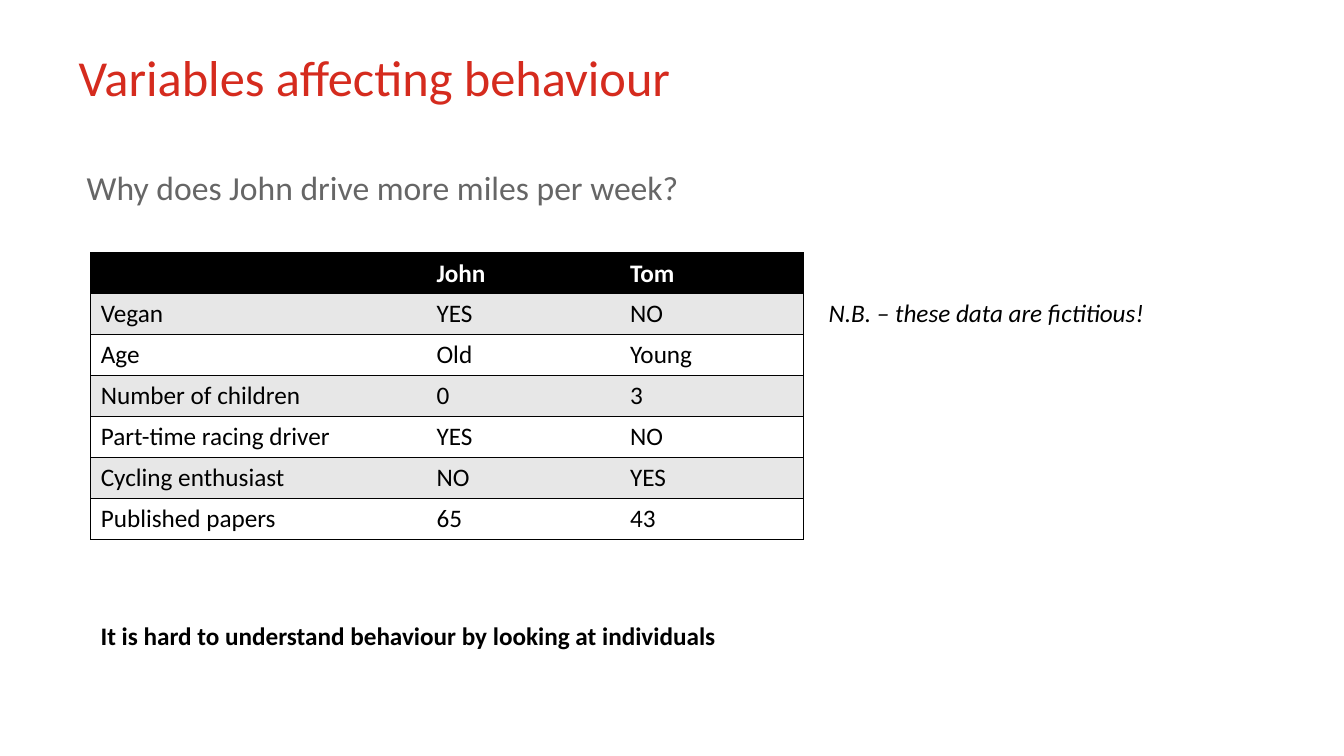
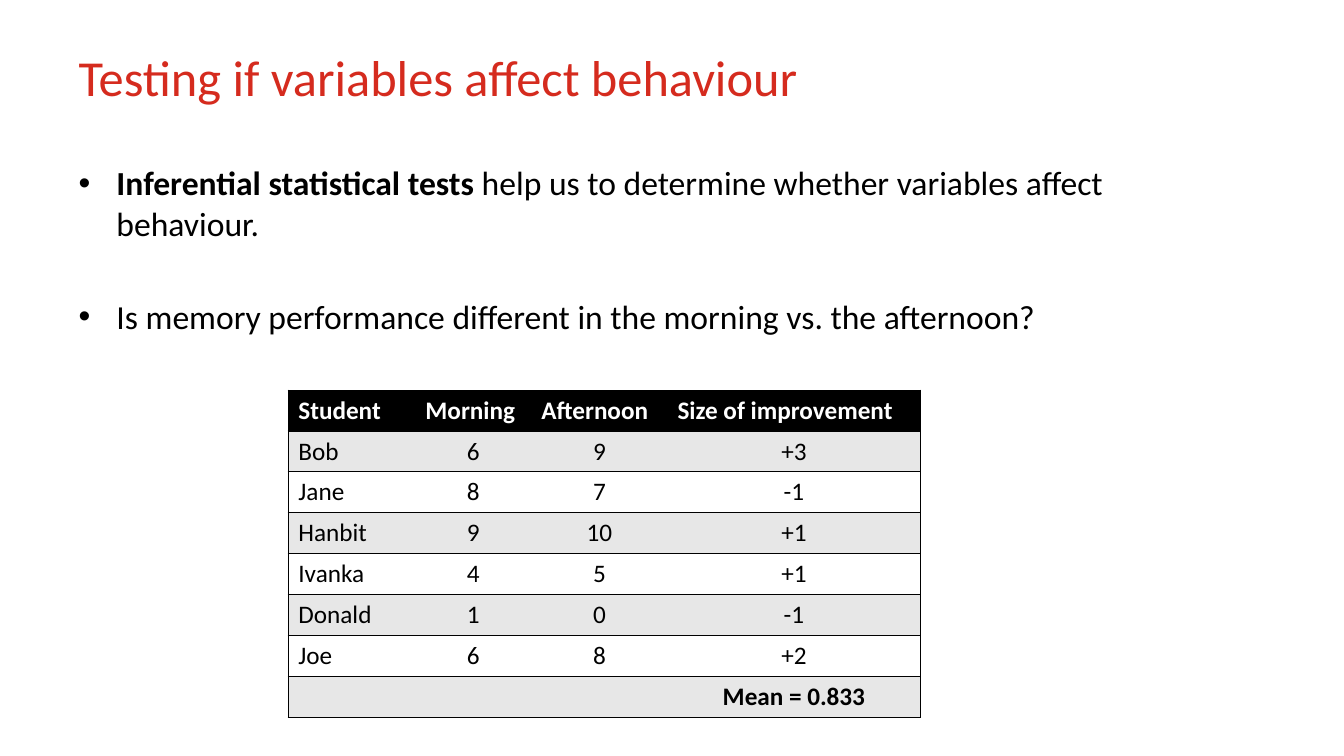
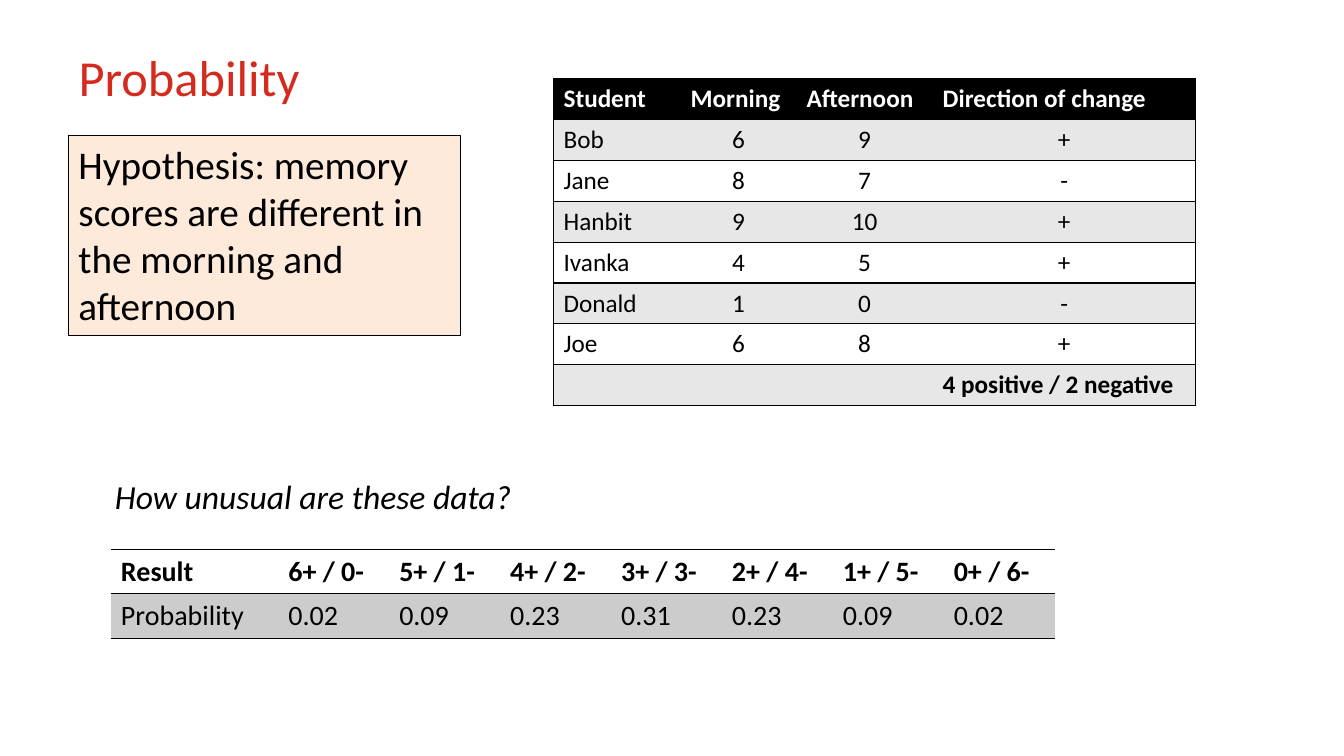
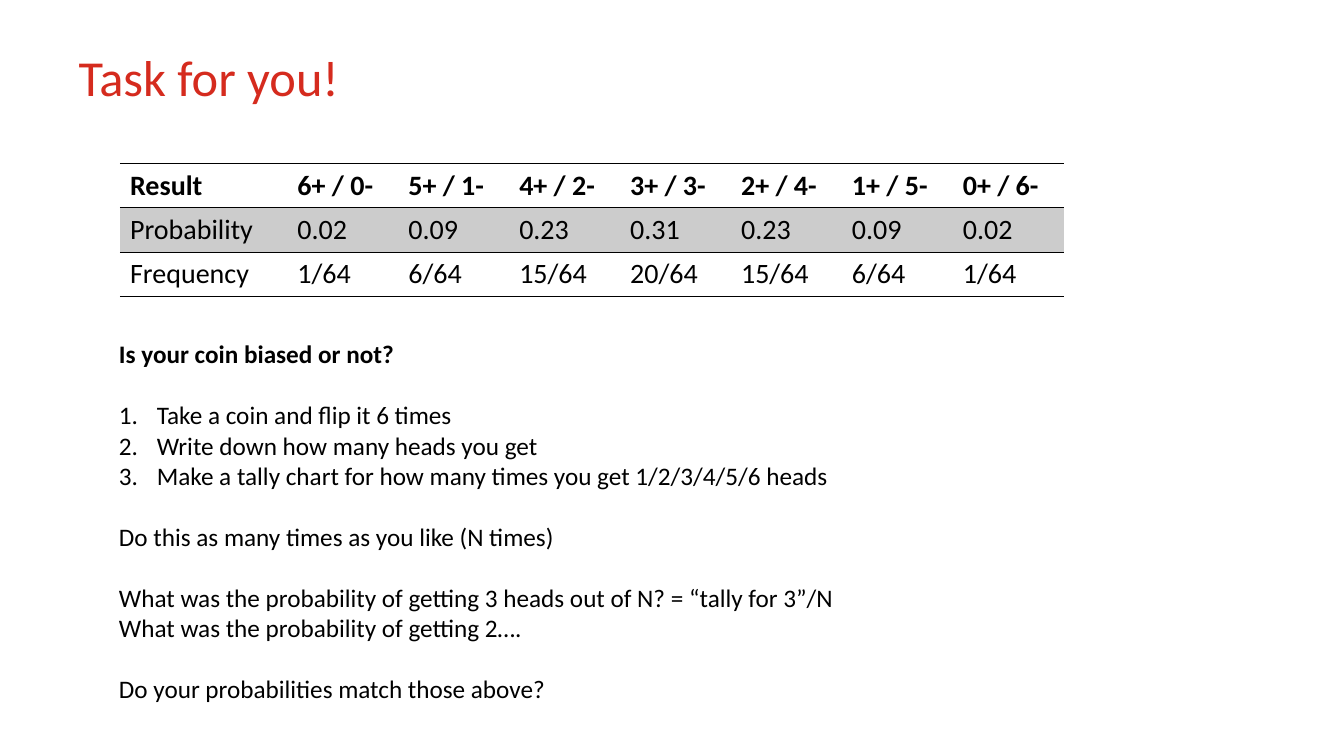
from lxml import etree
from pptx import Presentation
from pptx.dml.color import RGBColor
from pptx.enum.shapes import MSO_SHAPE
from pptx.enum.text import MSO_ANCHOR, MSO_AUTO_SIZE, PP_ALIGN
from pptx.oxml.ns import qn
from pptx.util import Inches, Pt

LEFT, CENTER = PP_ALIGN.LEFT, PP_ALIGN.CENTER
TOP = MSO_ANCHOR.TOP
NO_FIT = MSO_AUTO_SIZE.NONE
RECT = MSO_SHAPE.RECTANGLE

RED = RGBColor(0xD5, 0x2B, 0x1E)
GREY = RGBColor(0x66, 0x66, 0x66)
BAND = RGBColor(0xE7, 0xE7, 0xE7)
SHADE = RGBColor(0xCC, 0xCC, 0xCC)
PEACH = RGBColor(0xFD, 0xEA, 0xDA)
BLACK = RGBColor(0, 0, 0)
WHITE = RGBColor(0xFF, 0xFF, 0xFF)
FONT = "Calibri"
PLAIN_GRID = "{2D5ABB26-0587-4C30-8999-92F81FD0307C}"

DRIVERS = [
    ("", "John", "Tom"),
    ("Vegan", "YES", "NO"),
    ("Age", "Old", "Young"),
    ("Number of children", "0", "3"),
    ("Part-time racing driver", "YES", "NO"),
    ("Cycling enthusiast", "NO", "YES"),
    ("Published papers", "65", "43"),
]
SCORES = [("Bob", 6, 9), ("Jane", 8, 7), ("Hanbit", 9, 10),
          ("Ivanka", 4, 5), ("Donald", 1, 0), ("Joe", 6, 8)]
ODDS = [
    ["Result"] + [f"{6 - n}+ / {n}-" for n in range(7)],
    ["Probability", "0.02", "0.09", "0.23", "0.31", "0.23", "0.09", "0.02"],
]
COUNTS = ["Frequency"] + [f"{n}/64" for n in (1, 6, 15, 20, 15, 6, 1)]
ODDS_COLS = [1.66] + [1.1] * 7

# Text, space before in points, numbered
TASK = [
    ("Is your coin biased or not?", 0, False),
    ("Take a coin and flip it 6 times", 22, True),
    ("Write down how many heads you get", 0, True),
    ("Make a tally chart for how many times you get 1/2/3/4/5/6 heads", 0, True),
    ("Do this as many times as you like (N times)", 22, False),
    ("What was the probability of getting 3 heads out of N? = “tally for 3”/N", 22, False),
    ("What was the probability of getting 2….", 0, False),
    ("Do your probabilities match those above?", 22, False),
]


def style(para, size, color=BLACK, bold=False, italic=False, align=LEFT):
    font = para.font
    font.name, font.size, font.bold, font.italic = FONT, Pt(size), bold, italic
    font.color.rgb = color
    para.alignment = align


def place(shape, left, top, width, height):
    shape.left, shape.top = Inches(left), Inches(top)
    shape.width, shape.height = Inches(width), Inches(height)
    frame = shape.text_frame
    frame.word_wrap, frame.auto_size, frame.vertical_anchor = True, NO_FIT, TOP
    return frame


def mark(para, kind, **attrs):
    """Set the bullet; any kind but buNone keeps the template's indent."""
    props = para._p.get_or_add_pPr()
    if kind == "buNone":
        props.set("marL", "0")
        props.set("indent", "0")
    bullet = etree.Element(qn("a:" + kind), attrs)
    default = props.find(qn("a:defRPr"))
    if default is None:
        props.append(bullet)
    else:
        default.addprevious(bullet)


def start(prs, title):
    """Add a slide with its title; return it with its body placeholder."""
    slide = prs.slides.add_slide(prs.slide_layouts[1])
    frame = place(slide.shapes.title, 0.68, 0.52, 9.76, 1.26)
    frame.text = title
    para = frame.paragraphs[0]
    style(para, 36, RED)
    para.line_spacing = Pt(35)
    return slide, slide.placeholders[1]


def lead(body, text, box, **look):
    """Fill the body with one line without a bullet."""
    frame = place(body, *box)
    frame.text = text
    style(frame.paragraphs[0], 24, **look)
    mark(frame.paragraphs[0], "buNone")


def note(slide, text, box, **look):
    frame = place(slide.shapes.add_textbox(0, 0, 0, 0), *box)
    frame.text = text
    style(frame.paragraphs[0], 18, **look)


def rule(cell, sides):
    """Draw 1 pt lines on the given sides, listed in the order L, R, T, B."""
    props = cell._tc.get_or_add_tcPr()
    for at, side in enumerate(sides):
        line = etree.Element(qn("a:ln" + side), w=str(Pt(1)))
        fill = etree.SubElement(line, qn("a:solidFill"))
        etree.SubElement(fill, qn("a:srgbClr"), val=str(BLACK))
        props.insert(at, line)


def grid(slide, rows, cols, left, top, height, size):
    """Add an unstyled table with its text; the heading row is bold."""
    table = slide.shapes.add_table(
        len(rows), len(cols), Inches(left), Inches(top),
        Inches(sum(cols)), Inches(height)).table
    table._tbl.tblPr.find(qn("a:tableStyleId")).text = PLAIN_GRID
    for col, width in zip(table.columns, cols):
        col.width = Inches(width)
    for r, row in enumerate(rows):
        for c, text in enumerate(row):
            cell = table.cell(r, c)
            cell.text = text
            style(cell.text_frame.paragraphs[0], size, bold=r == 0)
    return table


def banded(slide, rows, cols, left, top, height):
    table = grid(slide, rows, cols, left, top, height, 18)
    last = len(cols) - 1
    for r in range(len(rows)):
        for c in range(len(cols)):
            cell = table.cell(r, c)
            cell.fill.solid()
            cell.fill.fore_color.rgb = (WHITE, BAND)[r % 2] if r else BLACK
            if r == 0:
                cell.text_frame.paragraphs[0].font.color.rgb = WHITE
            rule(cell, "L" * (c == 0) + "R" * (c == last) + "TB")
    return table


def scores(slide, head, marks, total, align, width, left, top):
    """Add the student table; its last column holds marks and a total."""
    rows = [("Student", "Morning", "Afternoon", head)]
    rows += [(name, str(a), str(b), sign)
             for (name, a, b), sign in zip(SCORES, marks)]
    rows.append(("", "", "", total))
    table = banded(slide, rows, [1.26, 1.15, 1.35, width], left, top, 3.24)
    for r in range(1, len(rows)):
        for c in range(1, 4):
            table.cell(r, c).text_frame.paragraphs[0].alignment = CENTER
    para = table.cell(len(rows) - 1, 3).text_frame.paragraphs[0]
    para.font.bold = True
    para.alignment = align


def odds(slide, rows, left, top, height):
    table = grid(slide, rows, ODDS_COLS, left, top, height, 20)
    for c in range(len(ODDS_COLS)):
        for r in range(len(rows)):
            cell = table.cell(r, c)
            if r == 1:
                cell.fill.solid()
                cell.fill.fore_color.rgb = SHADE
            else:
                cell.fill.background()
        rule(table.cell(0, c), "TB")
        rule(table.cell(1, c), "T")
        rule(table.cell(len(rows) - 1, c), "B")


def drivers(prs):
    slide, body = start(prs, "Variables affecting behaviour")
    lead(body, "Why does John drive more miles per week?",
         (0.76, 1.61, 6.35, 0.58), color=GREY)
    banded(slide, DRIVERS, [3.33, 1.92, 1.82], 0.9, 2.51, 2.83)
    note(slide, "N.B. – these data are fictitious!",
         (8.12, 2.9, 3.5, 0.4), italic=True)
    note(slide, "It is hard to understand behaviour by looking at individuals",
         (0.9, 6.11, 6.5, 0.4), bold=True)


def testing(prs):
    slide, body = start(prs, "Testing if variables affect behaviour")
    frame = place(body, 0.68, 1.56, 10.51, 2.01)
    first = frame.paragraphs[0]
    style(first, 24)
    run = first.add_run()
    run.text = "Inferential statistical tests "
    run.font.bold = True
    first.add_run().text = "help us to determine whether variables affect behaviour."
    second = frame.add_paragraph()
    second.text = "Is memory performance different in the morning vs. the afternoon?"
    style(second, 24)
    second.space_before = Pt(38)
    scores(slide, "Size of improvement", [f"{b - a:+d}" for _, a, b in SCORES],
           "Mean = 0.833", CENTER, 2.51, 2.86, 3.87)


def chance(prs):
    slide, body = start(prs, "Probability")
    scores(slide, "Direction of change",
           ["+" if b > a else "-" for _, a, b in SCORES],
           "4 positive / 2 negative", LEFT, 2.61, 5.49, 0.78)
    box = slide.shapes.add_shape(RECT, 0, 0, 0, 0)
    box.shadow.inherit = False
    box.fill.solid()
    box.fill.fore_color.rgb = PEACH
    box.line.color.rgb = BLACK
    box.line.width = Pt(0.75)
    frame = place(box, 0.68, 1.34, 3.89, 1.99)
    frame.text = ("Hypothesis: memory scores are different in "
                  "the morning and afternoon")
    style(frame.paragraphs[0], 28)
    lead(body, "How unusual are these data?",
         (1.04, 4.67, 9.16, 0.55), italic=True)
    odds(slide, ODDS, 1.1, 5.45, 0.87)


def task(prs):
    slide, body = start(prs, "Task for you!")
    odds(slide, ODDS + [COUNTS], 1.19, 1.62, 1.3)
    frame = place(body, 1.08, 3.31, 7.5, 3.74)
    for n, (text, gap, numbered) in enumerate(TASK):
        para = frame.add_paragraph() if n else frame.paragraphs[0]
        para.text = text
        style(para, 18, bold=n == 0)
        para.space_before = Pt(gap)
        if numbered:
            mark(para, "buAutoNum", type="arabicPeriod")
        else:
            mark(para, "buNone")


def main():
    prs = Presentation()
    prs.slide_width, prs.slide_height = Inches(13.33), Inches(7.5)
    for build in (drivers, testing, chance, task):
        build(prs)
    prs.save("out.pptx")


if __name__ == "__main__":
    main()
